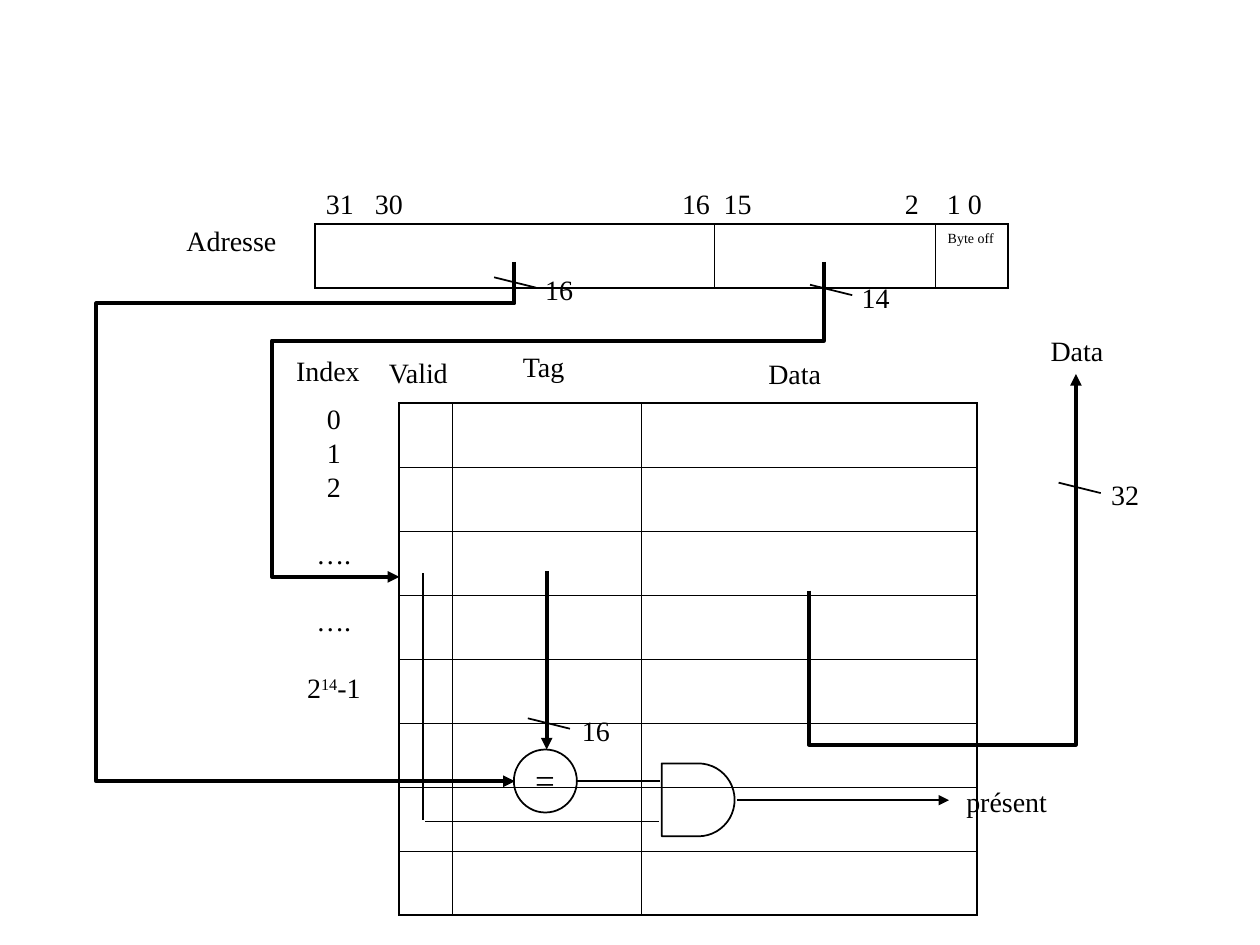
from lxml.etree import SubElement
from pptx import Presentation
from pptx.dml.color import RGBColor
from pptx.enum.shapes import MSO_CONNECTOR, MSO_SHAPE
from pptx.enum.text import MSO_AUTO_SIZE, PP_ALIGN
from pptx.oxml.ns import qn
from pptx.util import Cm, Pt

HUES = {"ink": "000000"}
INK = RGBColor.from_string(HUES["ink"])
FACE = "Times New Roman"

deck = Presentation()
deck.slide_width, deck.slide_height = Cm(25.4), Cm(19.05)
slide = deck.slides.add_slide(deck.slide_layouts[6])
shapes = slide.shapes


def write(frame, text, size=16, align=PP_ALIGN.LEFT, wrap=False, pitch=None,
          gaps=(), tabs=()):
    """Fill a text frame; text between ^ marks is raised."""
    frame.word_wrap = wrap
    for i, row in enumerate(text.split("\n")):
        para = frame.paragraphs[0] if i == 0 else frame.add_paragraph()
        if tabs:
            stops = SubElement(para._p.get_or_add_pPr(), qn("a:tabLst"))
            for pos in tabs:
                SubElement(stops, qn("a:tab"), pos=str(Cm(pos)), algn="l")
        para.alignment = align
        if pitch:
            para.line_spacing = Pt(pitch)
        if i in gaps:
            para.space_before = Pt(pitch)
        for j, part in enumerate(row.split("^")):
            run = para.add_run()
            run.text = part
            run.font.name, run.font.size = FACE, Pt(size)
            run.font.color.rgb = INK
            if j % 2:
                run.font._element.set("baseline", "30000")


def wire(kind, start, end, width, tip):
    """Draw a connector between two points in cm."""
    link = shapes.add_connector(kind, *map(Cm, start + end))
    link.line.color.rgb = INK
    link.line.width = Pt(width)
    if tip:
        SubElement(link.line._get_or_add_ln(), qn("a:tailEnd"), type="triangle")
    SubElement(link._element.spPr, qn("a:effectLst"))
    return link


# Tables: cache lines and address fields
HIGH = 1.29
grids = []
for left, top, cols, count in [
    (8.05, 8.13, (1.06, 3.81, 6.77), 8),
    (6.35, 4.52, (8.05, 4.45, 1.47), 1),
]:
    grid = shapes.add_table(count, len(cols), Cm(left), Cm(top),
                            Cm(sum(cols)), Cm(HIGH * count)).table
    grid.first_row = grid.horz_banding = False
    for col, wide in zip(grid.columns, cols):
        col.width = Cm(wide)
    for r in range(count):
        for c in range(len(cols)):
            cell = grid.cell(r, c)
            props = cell._tc.get_or_add_tcPr()
            edges = {"L": c == 0, "R": c == len(cols) - 1,
                     "T": r == 0, "B": r == count - 1}
            for side, outer in edges.items():
                edge = SubElement(props, qn(f"a:ln{side}"),
                                  w=str(Pt(1.08 if outer else 0.45)))
                fill = SubElement(edge, qn("a:solidFill"))
                SubElement(fill, qn("a:srgbClr"), val=HUES["ink"])
            cell.fill.background()
    grids.append(grid)
write(grids[1].cell(0, 2).text_frame, "Byte off", size=8, wrap=True)

# Comparator and AND gate
for form, left, top, size in [
    (MSO_SHAPE.OVAL, 10.36, 15.11, 1.27),
    (MSO_SHAPE.FLOWCHART_DELAY, 13.34, 15.39, 1.47),
]:
    gate = shapes.add_shape(form, Cm(left), Cm(top), Cm(size), Cm(size))
    gate.shadow.inherit = False
    gate.fill.background()
    gate.line.color.rgb = INK
    gate.line.width = Pt(1)

# Straight wires
for start, end, width, tip in [
    ((11.63, 15.75), (13.31, 15.75), 1, False),
    ((11.02, 11.51), (11.02, 15.11), 2.25, True),
    ((8.53, 11.56), (8.53, 16.54), 1, False),
    ((13.28, 16.56), (8.56, 16.56), 1, False),
    ((14.86, 16.13), (19.13, 16.13), 1, True),
]:
    wire(MSO_CONNECTOR.STRAIGHT, start, end, width, tip)

# Bus width marks
for x, y in [(9.96, 5.59), (16.33, 5.74), (21.34, 9.73), (10.64, 14.48)]:
    wire(MSO_CONNECTOR.STRAIGHT, (x, y), (x + 0.85, y + 0.21), 1, False)

# Bent wires, turned a quarter so that they leave vertically
for start, end, turn, flips, bends in [
    ((10.37, 5.28), (10.38, 15.75), 270, ("flipH",), (0.08, -843)),
    ((16.61, 5.28), (8.05, 11.63), 90, (), (0.25, 1.3)),
    ((16.31, 11.91), (21.69, 7.54), 90, ("flipH", "flipV"), (-0.71,)),
]:
    link = wire(MSO_CONNECTOR.ELBOW, start, end, 2.25, True)
    wide, high = abs(end[1] - start[1]), abs(end[0] - start[0])
    link.left = Cm((start[0] + end[0] - wide) / 2)
    link.top = Cm((start[1] + end[1] - high) / 2)
    link.width, link.height = Cm(wide), Cm(high)
    frame = link._element.spPr.find(qn("a:xfrm"))
    for flip in ("flipH", "flipV"):
        frame.set(flip, str(int(flip in flips)))
    frame.set("rot", str(turn * 60000))
    geom = link._element.spPr.find(qn("a:prstGeom"))
    geom.set("prst", f"bentConnector{len(bends) + 2}")
    for old in list(geom):
        geom.remove(old)
    guides = SubElement(geom, qn("a:avLst"))
    for n, bend in enumerate(bends, 1):
        SubElement(guides, qn("a:gd"), name=f"adj{n}",
                   fmla=f"val {round(bend * 100000)}")

# Labels
for text, left, top, wide, high, style in [
    ("Valid", 7.59, 7.04, 1.75, 0.94, {}),
    ("Tag", 10.29, 6.93, 1.37, 0.94, {}),
    ("Data", 15.24, 7.06, 1.57, 0.94, {}),
    ("Index", 5.72, 7.01, 2.1, 0.94, {}),
    ("0\n1\n2\n….\n….\n2^14^-1", 5.68, 7.98, 2.1, 6.35,
     {"align": PP_ALIGN.CENTER, "pitch": 19.2, "gaps": (3, 4, 5)}),
    ("Adresse", 3.51, 4.39, 2.6, 0.94, {}),
    ("31\t30\t16\t15\t2\t1 0", 6.32, 3.63, 13.74, 0.94,
     {"wrap": True, "tabs": (0.99, 7.18, 8.02, 11.67, 12.52)}),
    ("=", 10.54, 15.16, 0.89, 1.12, {"size": 20}),
    ("16", 10.74, 5.36, 1.07, 0.94, {}),
    ("14", 17.12, 5.54, 1.07, 0.94, {}),
    ("Data", 20.93, 6.6, 1.57, 0.94, {}),
    ("32", 22.15, 9.5, 1.07, 0.94, {}),
    ("présent", 19.23, 15.7, 2.13, 0.94, {}),
    ("16", 11.48, 14.25, 1.07, 0.94, {}),
]:
    box = shapes.add_textbox(Cm(left), Cm(top), Cm(wide), Cm(high))
    box.text_frame.auto_size = MSO_AUTO_SIZE.SHAPE_TO_FIT_TEXT
    write(box.text_frame, text, **style)

deck.save("out.pptx")
